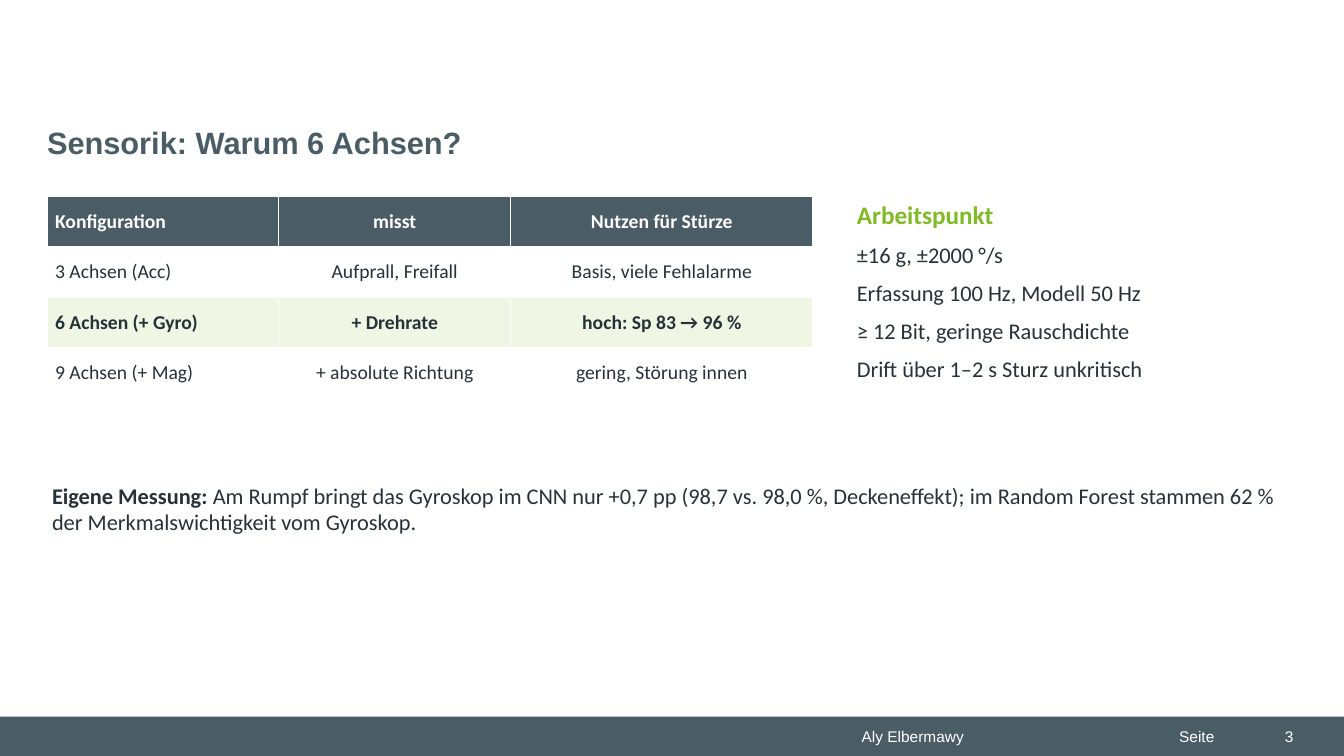
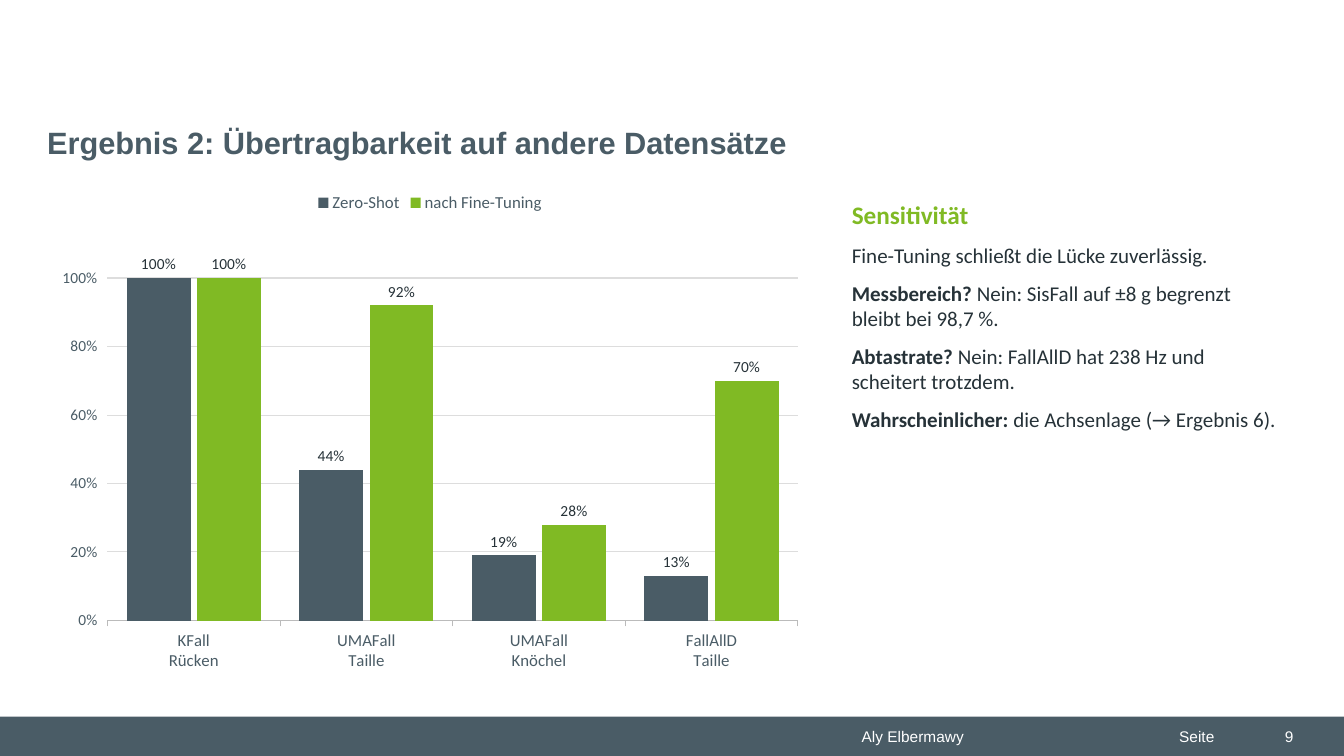
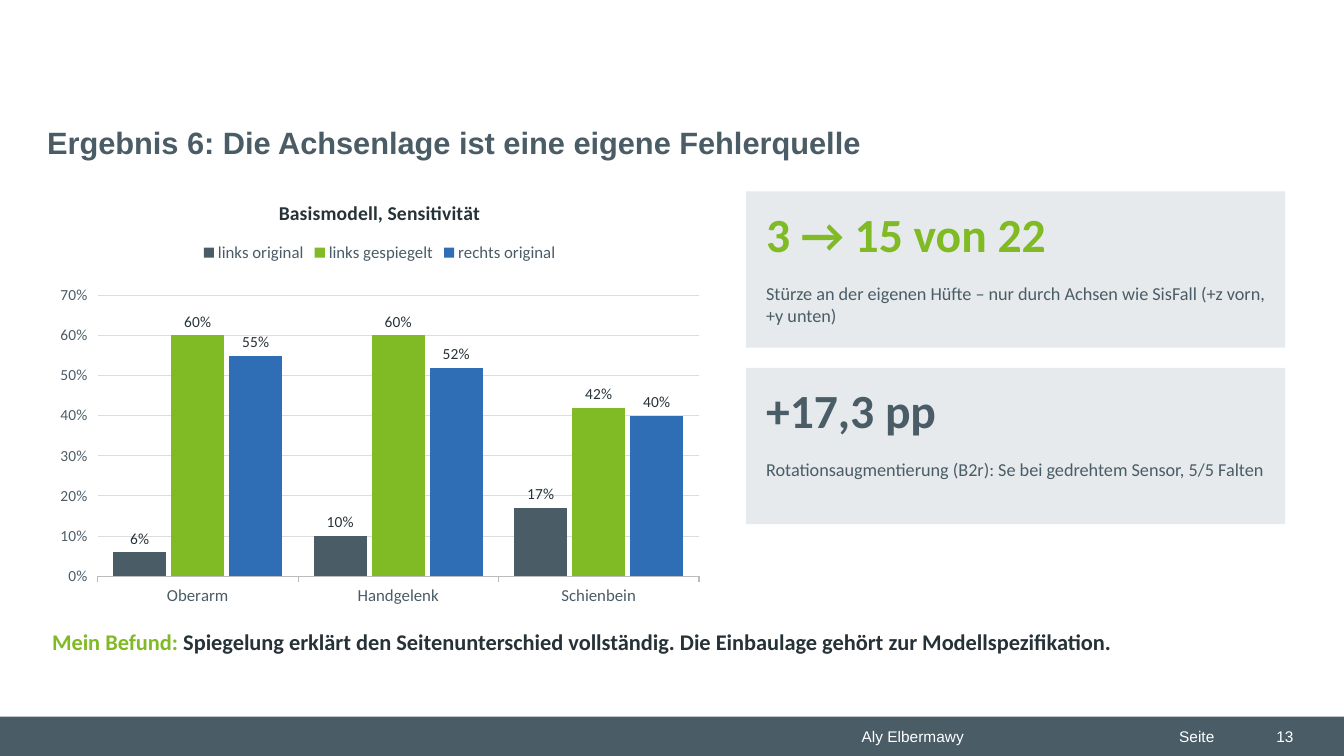
"""Build three slides on fall detection: sensor axes, transferability and axis orientation."""
from dataclasses import dataclass

import lxml.etree
import pptx
import pptx.chart.data
import pptx.dml.color
import pptx.enum.chart
import pptx.enum.shapes
import pptx.enum.text
import pptx.oxml.ns
import pptx.presentation
import pptx.shapes.autoshape
import pptx.slide
import pptx.text.text
import pptx.util

RGBColor = pptx.dml.color.RGBColor
SLATE = RGBColor(0x4A, 0x5C, 0x66)
GREEN = RGBColor(0x80, 0xBA, 0x24)
BLUE = RGBColor(0x2F, 0x6D, 0xB5)
INK = RGBColor(0x26, 0x32, 0x38)
WHITE = RGBColor(0xFF, 0xFF, 0xFF)
PALE_GREEN = RGBColor(0xEF, 0xF6, 0xE4)
PALE_SLATE = RGBColor(0xE6, 0xEA, 0xEC)
AXIS_GREY = RGBColor(0xBB, 0xBB, 0xBB)
GRID_GREY = RGBColor(0xDD, 0xDD, 0xDD)

SLIDE_WIDTH = pptx.util.Inches(13.33)
SLIDE_HEIGHT = pptx.util.Inches(7.5)
TITLE_AND_BODY, TITLE_ONLY = 1, 5
PERCENT_FORMAT = '0"%"'
ALIGN = pptx.enum.text.PP_ALIGN
ANCHOR = pptx.enum.text.MSO_ANCHOR


@dataclass(frozen=True)
class Area:
    """A rectangle in percent of the slide's width and height."""
    left: float
    top: float
    width: float
    height: float

    def lengths(self) -> tuple[int, int, int, int]:
        """Return left, top, width and height in EMU."""
        return (across(self.left), down(self.top), across(self.width), down(self.height))


@dataclass(frozen=True)
class Span:
    """A piece of text in one format."""
    text: str
    size: float = 16
    color: RGBColor = INK
    bold: bool = False
    font: str = "Calibri"


@dataclass(frozen=True)
class Series:
    """One group of chart columns."""
    name: str
    values: tuple[int, ...]
    color: RGBColor


@dataclass(frozen=True)
class Card:
    """A key figure with its caption."""
    figure: str
    color: RGBColor
    caption: str


Line = tuple[Span, ...]
TITLE_AREA = Area(3.5, 15.73, 92.1, 8.4)
BAND_AREA = Area(0, 94.8, 100, 5.2)
AUTHOR_AREA = Area(63.38, 95.47, 23.63, 3.87)
PAGE_WORD_AREA = Area(87, 95.47, 6.3, 3.87)
NUMBER_AREA = Area(91.73, 95.47, 5.25, 3.87)
FOOTER_INSETS = (0.1, 0.05)
TEXT_INSETS = (0.05, 0.03)


def across(share: float) -> int:
    """Convert a percentage of the slide's width to EMU."""
    return round(SLIDE_WIDTH * share / 100)


def down(share: float) -> int:
    """Convert a percentage of the slide's height to EMU."""
    return round(SLIDE_HEIGHT * share / 100)


def set_insets(target: object, insets: tuple[float, float]) -> None:
    """Set the horizontal and vertical insets of a text frame or cell."""
    target.margin_left = target.margin_right = pptx.util.Inches(insets[0])
    target.margin_top = target.margin_bottom = pptx.util.Inches(insets[1])


def format_font(font: pptx.text.text.Font, span: Span) -> None:
    """Apply the format of a span to a font."""
    font.name = span.font
    font.size = pptx.util.Pt(span.size)
    font.bold = span.bold
    font.color.rgb = span.color


def fill_paragraph(para: pptx.text.text._Paragraph, line: Line) -> None:
    """Write the spans of a line as formatted runs."""
    para.text = line[0].text
    for span in line[1:]:
        para.add_run().text = span.text
    for run, span in zip(para.runs, line):
        format_font(run.font, span)


def write_lines(frame: pptx.text.text.TextFrame, lines: list[Line], gap: float = 0,
                insets: tuple[float, float] = TEXT_INSETS, bulleted: bool = False) -> None:
    """Write one paragraph per line, top aligned, clearing inherited bullets."""
    frame.word_wrap = True
    frame.auto_size = pptx.enum.text.MSO_AUTO_SIZE.NONE
    frame.vertical_anchor = ANCHOR.TOP
    set_insets(frame, insets)
    for index, line in enumerate(lines):
        para = frame.add_paragraph() if index else frame.paragraphs[0]
        if bulleted:
            properties = para._p.get_or_add_pPr()
            properties.set("marL", "0")
            properties.set("indent", "0")
            lxml.etree.SubElement(properties, pptx.oxml.ns.qn("a:buNone"))
        para.alignment = ALIGN.LEFT
        para.space_before = pptx.util.Pt(0)
        para.space_after = pptx.util.Pt(gap)
        fill_paragraph(para, line)


def place(shape: object, area: Area) -> None:
    """Move a placeholder to an area."""
    shape.left, shape.top, shape.width, shape.height = area.lengths()


def add_text(page: pptx.slide.Slide, area: Area, lines: list[Line], gap: float = 6,
             insets: tuple[float, float] = TEXT_INSETS) -> pptx.shapes.autoshape.Shape:
    """Add a text box."""
    box = page.shapes.add_textbox(*area.lengths())
    write_lines(box.text_frame, lines, gap, insets)
    return box


def add_panel(page: pptx.slide.Slide, area: Area, color: RGBColor) -> pptx.shapes.autoshape.Shape:
    """Add a plain filled rectangle."""
    panel = page.shapes.add_shape(pptx.enum.shapes.MSO_SHAPE.RECTANGLE, *area.lengths())
    panel.shadow.inherit = False
    panel.fill.solid()
    panel.fill.fore_color.rgb = color
    panel.line.fill.background()
    return panel


def footer_line(text: str) -> list[Line]:
    """Return footer text in its shared format."""
    return [(Span(text, 11, WHITE, font="Arial"),)]


def move_footer_to_master(deck: pptx.presentation.Presentation, page: pptx.slide.Slide) -> None:
    """Draw the footer band once and hand it to the slide master."""
    parts = [add_panel(page, BAND_AREA, SLATE)]
    for area, text in ((AUTHOR_AREA, "Aly Elbermawy"), (PAGE_WORD_AREA, "Seite")):
        parts.append(add_text(page, area, footer_line(text), 0, FOOTER_INSETS))
    for part in parts:
        deck.slide_master.shapes.element.append(part.element)


def add_page(deck: pptx.presentation.Presentation, layout: int, title: str,
             number: int) -> pptx.slide.Slide:
    """Add a slide with its title and page number."""
    page = deck.slides.add_slide(deck.slide_layouts[layout])
    if len(deck.slides) == 1:
        move_footer_to_master(deck, page)
    place(page.shapes.title, TITLE_AREA)
    write_lines(page.shapes.title.text_frame, [(Span(title, 22, SLATE, True, "Arial"),)],
                insets=(0, 0.05))
    box = add_text(page, NUMBER_AREA, footer_line(str(number)), 0, FOOTER_INSETS)
    box.text_frame.vertical_anchor = ANCHOR.MIDDLE
    box.text_frame.paragraphs[0].alignment = ALIGN.RIGHT
    return page


def fill_body(page: pptx.slide.Slide, area: Area, heading: str, lines: list[Line],
              gap: float) -> None:
    """Write a green heading and a list into the body placeholder."""
    body = page.placeholders[1]
    place(body, area)
    write_lines(body.text_frame, [(Span(heading, 18, GREEN, True),), *lines], gap, bulleted=True)


def add_grid_table(page: pptx.slide.Slide, area: Area, column_shares: tuple[float, ...],
                   rows: list[tuple[str, ...]], highlighted: int) -> None:
    """Add a table with a dark header and one highlighted row."""
    table = page.shapes.add_table(len(rows), len(column_shares), *area.lengths()).table
    table.horz_banding = False
    for column, share in zip(table.columns, column_shares):
        column.width = across(share)
    for row_index, texts in enumerate(rows):
        table.rows[row_index].height = down(area.height / len(rows))
        header = row_index == 0
        emphasis = row_index == highlighted
        fill = SLATE if header else PALE_GREEN if emphasis else WHITE
        for column_index, text in enumerate(texts):
            cell = table.cell(row_index, column_index)
            cell.fill.solid()
            cell.fill.fore_color.rgb = fill
            cell.vertical_anchor = ANCHOR.MIDDLE
            set_insets(cell, (0.08, 0.03))
            para = cell.text_frame.paragraphs[0]
            para.alignment = ALIGN.CENTER if column_index else ALIGN.LEFT
            fill_paragraph(para, (Span(text, 14, WHITE if header else INK, header or emphasis),))


def add_column_chart(page: pptx.slide.Slide, area: Area, categories: tuple[str, ...],
                     groups: list[Series], top: int, step: int, title: str = "") -> None:
    """Add a clustered column chart of percentages."""
    data = pptx.chart.data.CategoryChartData(number_format=PERCENT_FORMAT)
    data.categories = categories
    for group in groups:
        data.add_series(group.name, group.values)
    kind = pptx.enum.chart.XL_CHART_TYPE.COLUMN_CLUSTERED
    chart = page.shapes.add_chart(kind, *area.lengths(), data).chart
    format_font(chart.font, Span("", 12, SLATE))
    chart.has_title = bool(title)
    if title:
        fill_paragraph(chart.chart_title.text_frame.paragraphs[0], (Span(title, 14, INK, True),))
    chart.has_legend = True
    chart.legend.position = pptx.enum.chart.XL_LEGEND_POSITION.TOP
    chart.legend.include_in_layout = False
    format_font(chart.legend.font, Span("", 12, SLATE))

    chart.category_axis.format.line.color.rgb = AXIS_GREY
    chart.category_axis.format.line.width = pptx.util.Pt(0.75)
    format_font(chart.category_axis.tick_labels.font, Span("", 12, SLATE))
    axis = chart.value_axis
    axis.minimum_scale, axis.maximum_scale, axis.major_unit = 0, top, step
    axis.format.line.fill.background()
    axis.major_gridlines.format.line.color.rgb = GRID_GREY
    axis.major_gridlines.format.line.width = pptx.util.Pt(0.75)
    axis.tick_labels.number_format = PERCENT_FORMAT
    axis.tick_labels.number_format_is_linked = False
    format_font(axis.tick_labels.font, Span("", 11, SLATE))

    plot = chart.plots[0]
    plot.gap_width, plot.overlap, plot.vary_by_categories = 60, -10, False
    for series, group in zip(plot.series, groups):
        series.format.fill.solid()
        series.format.fill.fore_color.rgb = group.color
        labels = series.data_labels
        labels.show_value = True
        labels.position = pptx.enum.chart.XL_LABEL_POSITION.OUTSIDE_END
        labels.number_format = PERCENT_FORMAT
        labels.number_format_is_linked = False
        format_font(labels.font, Span("", 11, INK))


def add_card(page: pptx.slide.Slide, area: Area, card: Card) -> None:
    """Add a key figure above its caption on a pale panel."""
    add_panel(page, area, PALE_SLATE)
    left, width = area.left + 1.13, area.width - 2.26
    add_text(page, Area(left, area.top + 1.33, width, 10.67),
             [(Span(card.figure, 34, card.color, True),)])
    add_text(page, Area(left, area.top + 11.6, width, 8.27), [(Span(card.caption, 13, SLATE),)])


def build_sensor_page(deck: pptx.presentation.Presentation) -> None:
    """Compare the sensor configurations."""
    page = add_page(deck, TITLE_AND_BODY, "Sensorik: Warum 6 Achsen?", 3)
    rows = [
        ("Konfiguration", "misst", "Nutzen für Stürze"),
        ("3 Achsen (Acc)", "Aufprall, Freifall", "Basis, viele Fehlalarme"),
        ("6 Achsen (+ Gyro)", "+ Drehrate", "hoch: Sp 83 → 96 %"),
        ("9 Achsen (+ Mag)", "+ absolute Richtung", "gering, Störung innen"),
    ]
    add_grid_table(page, Area(3.5, 26, 57, 26.67), (17.25, 17.25, 22.5), rows, highlighted=2)
    settings = ("±16 g, ±2000 °/s", "Erfassung 100 Hz, Modell 50 Hz",
                "≥ 12 Bit, geringe Rauschdichte", "Drift über 1–2 s Sturz unkritisch")
    fill_body(page, Area(63.38, 26, 32.25, 40), "Arbeitspunkt",
              [(Span(setting),) for setting in settings], 8)
    add_text(page, Area(3.5, 63.33, 92.25, 24), [(
        Span("Eigene Messung: ", bold=True),
        Span("Am Rumpf bringt das Gyroskop im CNN nur +0,7 pp (98,7 vs. 98,0 %, Deckeneffekt); "
             "im Random Forest stammen 62 % der Merkmalswichtigkeit vom Gyroskop."),
    )])


def build_transfer_page(deck: pptx.presentation.Presentation) -> None:
    """Show the sensitivity on other data sets."""
    page = add_page(deck, TITLE_AND_BODY, "Ergebnis 2: Übertragbarkeit auf andere Datensätze", 9)
    add_column_chart(
        page, Area(3.5, 24, 57, 66),
        ("KFall\nRücken", "UMAFall\nTaille", "UMAFall\nKnöchel", "FallAllD\nTaille"),
        [Series("Zero-Shot", (100, 44, 19, 13), SLATE),
         Series("nach Fine-Tuning", (100, 92, 28, 70), GREEN)],
        top=115, step=20)
    answers = (
        ("Messbereich? ", "Nein: SisFall auf ±8 g begrenzt bleibt bei 98,7 %."),
        ("Abtastrate? ", "Nein: FallAllD hat 238 Hz und scheitert trotzdem."),
        ("Wahrscheinlicher: ", "die Achsenlage (→ Ergebnis 6)."),
    )
    lines = [(Span("Fine-Tuning schließt die Lücke zuverlässig.", 15),)]
    lines += [(Span(lead, 15, bold=True), Span(answer, 15)) for lead, answer in answers]
    fill_body(page, Area(63, 26, 32.63, 64), "Sensitivität", lines, 9)


def build_orientation_page(deck: pptx.presentation.Presentation) -> None:
    """Show the effect of the axis orientation."""
    page = add_page(deck, TITLE_ONLY, "Ergebnis 6: Die Achsenlage ist eine eigene Fehlerquelle", 13)
    add_column_chart(
        page, Area(3.5, 24, 49.5, 57.33), ("Oberarm", "Handgelenk", "Schienbein"),
        [Series("links original", (6, 10, 17), SLATE),
         Series("links gespiegelt", (60, 60, 42), GREEN),
         Series("rechts original", (55, 52, 40), BLUE)],
        top=75, step=10, title="Basismodell, Sensitivität")
    cards = (
        Card("3 → 15 von 22", GREEN,
             "Stürze an der eigenen Hüfte – nur durch Achsen wie SisFall (+z vorn, +y unten)"),
        Card("+17,3 pp", SLATE,
             "Rotationsaugmentierung (B2r): Se bei gedrehtem Sensor, 5/5 Falten"),
    )
    for index, card in enumerate(cards):
        add_card(page, Area(55.5, 25.33 + 23.33 * index, 40.13, 20.67), card)
    add_text(page, Area(3.5, 82.67, 92.25, 8), [(
        Span("Mein Befund: ", color=GREEN, bold=True),
        Span("Spiegelung erklärt den Seitenunterschied vollständig. "
             "Die Einbaulage gehört zur Modellspezifikation.", bold=True),
    )])


def main() -> None:
    """Build and save the deck."""
    deck = pptx.Presentation()
    deck.slide_width, deck.slide_height = SLIDE_WIDTH, SLIDE_HEIGHT
    build_sensor_page(deck)
    build_transfer_page(deck)
    build_orientation_page(deck)
    deck.save("out.pptx")


if __name__ == "__main__":
    main()
